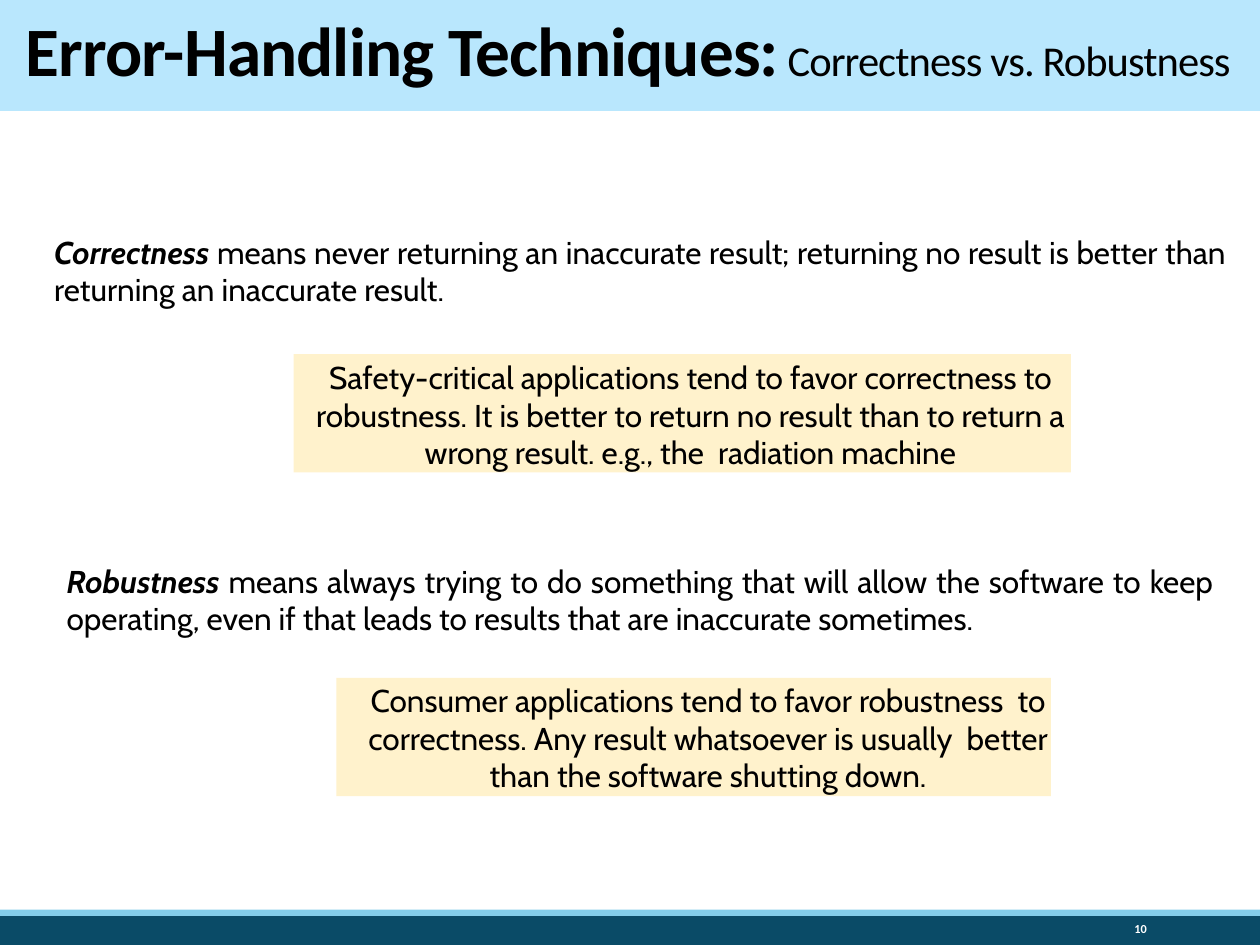
from pptx import Presentation
from pptx.dml.color import RGBColor
from pptx.enum.shapes import MSO_SHAPE as SHAPE
from pptx.enum.text import MSO_ANCHOR as ANCHOR, MSO_AUTO_SIZE as AUTO, PP_ALIGN as ALIGN
from pptx.util import Inches, Pt

WIDTH, HEIGHT = Inches(10), Inches(7.5)
COLORS = {
    "title": "B9E7FD",
    "callout": "FFF2CC",
    "stripe": "84CDEA",
    "footer": "0A4B67",
    "text": "000000",
    "number": "FFFFFF",
}


def rgb(name):
    return RGBColor.from_string(COLORS[name])


def place(x, y, w, h):
    """Turn percentages of the slide's width and height into lengths."""
    return [round(share * side / 100)
            for share, side in zip((x, y, w, h), (WIDTH, HEIGHT) * 2)]


def add_bar(s, box, color):
    sp = s.shapes.add_shape(SHAPE.RECTANGLE, *place(*box))
    sp.shadow.inherit = False
    sp.fill.solid()
    sp.fill.fore_color.rgb = rgb(color)
    sp.line.fill.background()
    return sp


def add_textbox(s, box):
    return s.shapes.add_textbox(*place(*box))


def set_frame(sp, align, spacing=1.0, anchor=ANCHOR.TOP):
    """Prepare the text frame and return it with its only paragraph."""
    tf = sp.text_frame
    tf.word_wrap = True
    tf.vertical_anchor = anchor
    p = tf.paragraphs[0]
    p.alignment = align
    p.line_spacing = spacing
    p.space_before = Pt(0)
    return tf, p


def set_insets(tf, top):
    tf.margin_left = tf.margin_right = tf.margin_bottom = 0
    tf.margin_top = Inches(top)


def add_run(p, text, size, font="Cabin", color="text", bold=False, italic=False):
    r = p.add_run()
    r.text = text
    r.font.name = font
    r.font.size = Pt(size)
    r.font.bold = bold
    r.font.italic = italic
    r.font.color.rgb = rgb(color)
    return r


def indent(p, inches):
    p._p.get_or_add_pPr().set("marL", str(Inches(inches)))


def add_title(s, topic, subtopic):
    sp = add_bar(s, (-0.3, -0.13, 100.3, 11.87), "title")
    _, p = set_frame(sp, ALIGN.CENTER, 0.85, ANCHOR.MIDDLE)
    for r in (add_run(p, topic, 39.6, "Calibri", bold=True),
              add_run(p, " " + subtopic, 24.3, "Calibri")):
        r.font._element.set("spc", "-50")


def add_definition(s, top, height, term, meaning, spacing, inset=None):
    sp = add_textbox(s, (4.2, top, 93.1, height))
    tf, p = set_frame(sp, ALIGN.JUSTIFY, spacing)
    tf.auto_size = AUTO.SHAPE_TO_FIT_TEXT
    if inset is not None:
        set_insets(tf, inset)
    indent(p, 0.01)
    add_run(p, term + " ", 18, bold=True, italic=True)
    add_run(p, meaning, 18)


def add_callout(s, box, text, left_indent, spacing, inset):
    sp = add_bar(s, box, "callout")
    tf, p = set_frame(sp, ALIGN.CENTER, spacing)
    tf.auto_size = AUTO.SHAPE_TO_FIT_TEXT
    set_insets(tf, inset)
    indent(p, left_indent)
    add_run(p, text, 18)


def add_footer(s, number):
    add_bar(s, (0, 96.93, 100, 3.2), "footer")
    add_bar(s, (0, 96.27, 100, 0.67), "stripe")
    sp = add_textbox(s, (81.2, 96.93, 10.8, 2.8))
    _, p = set_frame(sp, ALIGN.RIGHT, 0.9, ANCHOR.MIDDLE)
    add_run(p, number, 7, "Calibri", "number", bold=True)


def main():
    prs = Presentation()
    prs.slide_width, prs.slide_height = WIDTH, HEIGHT
    s = prs.slides.add_slide(prs.slide_layouts[6])

    add_footer(s, "10")
    add_title(s, "Error-Handling Techniques:", "Correctness vs. Robustness")
    add_definition(
        s, 24.4, 8.27, "Correctness",
        "means never returning an inaccurate result; returning no result is "
        "better than returning an inaccurate result.",
        Pt(20.9), inset=0.03)
    add_callout(
        s, (23.3, 37.47, 61.7, 12.53),
        "Safety-critical applications tend to favor correctness to robustness. "
        "It is better to return no result than to return a wrong result. "
        "e.g., the  radiation machine",
        0.13, 1.0, 0.03)
    add_definition(
        s, 58.93, 9.33, "Robustness",
        "means always trying to do something that will allow the software to "
        "keep operating, even if that leads to results that are inaccurate "
        "sometimes.",
        0.99)
    add_callout(
        s, (26.7, 71.73, 56.7, 12.53),
        "Consumer applications tend to favor robustness  to correctness. "
        "Any result whatsoever is usually  better than the software shutting "
        "down.",
        0.23, 0.99, 0.04)
    prs.save("out.pptx")


if __name__ == "__main__":
    main()
